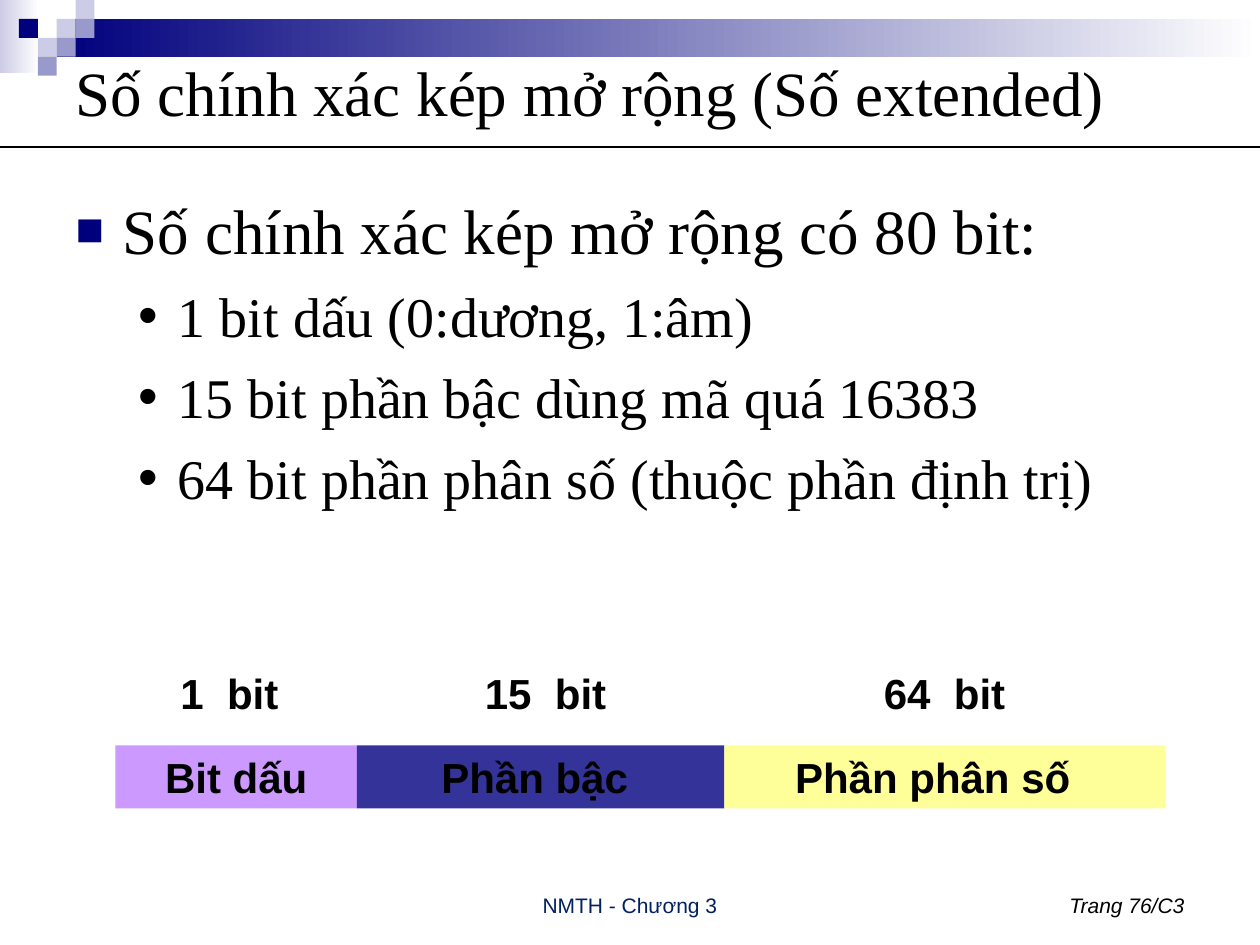
import pptx
import pptx.dml.color
import pptx.enum.dml
import pptx.enum.shapes
import pptx.enum.text
import pptx.oxml.ns
import pptx.util
from lxml import etree

Pt = pptx.util.Pt
RGB = pptx.dml.color.RGBColor.from_string
Align = pptx.enum.text.PP_ALIGN
Anchor = pptx.enum.text.MSO_ANCHOR
qn = pptx.oxml.ns.qn

# Content
TITLE = "Số chính xác kép mở rộng (Số extended)"
BODY = [
    (0, "Số chính xác kép mở rộng có 80 bit:"),
    (1, "1 bit dấu (0:dương, 1:âm)"),
    (1, "15 bit phần bậc dùng mã quá 16383"),
    (1, "64 bit phần phân số (thuộc phần định trị)"),
]
# field name, fill, width, right inset, bit count, left and width of the count
FIELDS = [
    ("Bit dấu", "CC99FF", 138, 7.2, "1  bit", 96, 72),
    ("Phần bậc", "333399", 210, 14, "15  bit", 270, 90),
    ("Phần phân số", "FFFF99", 252, 21, "64  bit", 498, 90),
]
FOOTER = "NMTH - Chương 3"
PAGE = "Trang 76/C3"

# Theme
THEME = {
    "navy": "00007D", "mid": "9999CC", "pale": "CCCCE6", "white": "FFFFFF",
    "title": {"name": "Times New Roman", "size": Pt(36), "color": "000000"},
    "field": {"name": "Arial", "size": Pt(24), "bold": True, "color": "000000"},
    "footer": {"name": "Arial", "size": Pt(12), "color": "002060"},
    "page": {"name": "Arial", "size": Pt(12), "italic": True, "color": "000000"},
}
LEVELS = [
    {"bullet": "■", "color": THEME["navy"], "scale": 75, "left": 27, "hang": 27,
     "before": 0, "font": THEME["title"]},
    {"bullet": "•", "color": "000000", "scale": 100, "left": 58.5, "hang": 22.5,
     "before": 8, "font": {**THEME["title"], "size": Pt(32)}},
]
TILE = 10.8
# column, row, colour on the corner grid
TILES = [(3, 1, "pale"), (4, 0, "pale"), (4, 1, "mid"), (2, 2, "pale"),
         (1, 1, "navy"), (3, 2, "mid"), (2, 3, "mid")]
BAR_LEFT, BAR_TOP, ROW_HEIGHT, COUNT_TOP = 66, 426, 36, 378


def set_font(font, values):
    for name, value in values.items():
        if name == "color":
            font.color.rgb = RGB(value)
        else:
            setattr(font, name, value)


def place(shape, left, top, width, height):
    for name, value in zip(("left", "top", "width", "height"), (left, top, width, height)):
        setattr(shape, name, Pt(value))


def write(shape, text, font, align=Align.LEFT, anchor=Anchor.TOP, right_inset=7.2):
    frame = shape.text_frame
    frame.word_wrap = True
    frame.auto_size = pptx.enum.text.MSO_AUTO_SIZE.NONE
    frame.vertical_anchor = anchor
    frame.margin_right = Pt(right_inset)
    paragraph = frame.paragraphs[0]
    paragraph.text = text
    paragraph.alignment = align
    set_font(paragraph.runs[0].font, font)


def add_rectangle(slide, box, *colors):
    shape = slide.shapes.add_shape(pptx.enum.shapes.MSO_SHAPE.RECTANGLE, *map(Pt, box))
    shape.shadow.inherit = False
    shape.line.fill.background()
    if len(colors) == 1:
        shape.fill.solid()
        shape.fill.fore_color.rgb = RGB(colors[0])
    else:
        shape.fill.gradient()
        shape.fill.gradient_angle = 0
        for stop, color, position in zip(shape.fill.gradient_stops, colors, (0, 1)):
            stop.color.rgb = RGB(color)
            stop.position = position
    return shape


def add_label(slide, box, *args, **options):
    write(slide.shapes.add_textbox(*map(Pt, box)), *args, **options)


def set_bullet(paragraph, level):
    properties = paragraph._p.get_or_add_pPr()
    properties.set("marL", str(Pt(level["left"])))
    properties.set("indent", str(-Pt(level["hang"])))
    color = etree.SubElement(properties, qn("a:buClr"))
    etree.SubElement(color, qn("a:srgbClr"), val=level["color"])
    etree.SubElement(properties, qn("a:buSzPct"), val=str(level["scale"] * 1000))
    etree.SubElement(properties, qn("a:buFont"), typeface="Arial")
    etree.SubElement(properties, qn("a:buChar"), char=level["bullet"])


def add_decoration(slide):
    add_rectangle(slide, (0, 0, 22.3, 41.8), THEME["pale"], THEME["white"])
    add_rectangle(slide, (32.4, TILE, 687.6, 21.6), THEME["navy"], THEME["white"])
    for column, row, color in TILES:
        add_rectangle(slide, (column * TILE, row * TILE, TILE, TILE), THEME[color])


def add_title_and_body(slide):
    title, body = slide.shapes.title, slide.placeholders[1]
    for shape in (title, body):  # in front of the decoration
        slide.shapes._spTree.append(shape._element)
    place(title, 36, 18, 648, 68.4)
    write(title, TITLE, THEME["title"], anchor=Anchor.MIDDLE)

    place(body, 36, 106, 648, 410)
    frame = body.text_frame
    frame.auto_size = pptx.enum.text.MSO_AUTO_SIZE.NONE
    for index, (depth, text) in enumerate(BODY):
        paragraph = frame.add_paragraph() if index else frame.paragraphs[0]
        level = LEVELS[depth]
        paragraph.level = depth
        paragraph.space_before = Pt(level["before"])
        set_bullet(paragraph, level)
        paragraph.text = text
        set_font(paragraph.runs[0].font, level["font"])


def add_rule(slide):
    rule = slide.shapes.add_connector(
        pptx.enum.shapes.MSO_CONNECTOR.STRAIGHT, Pt(0), Pt(84), Pt(720), Pt(84))
    rule.line.color.rgb = RGB("000000")
    rule.line.width = Pt(0.75)
    etree.SubElement(rule._element.spPr, qn("a:effectLst"))


def add_bit_fields(slide):
    left = BAR_LEFT
    for name, color, width, inset, count, count_left, count_width in FIELDS:
        bar = add_rectangle(slide, (left, BAR_TOP, width, ROW_HEIGHT), color)
        write(bar, name, THEME["field"], Align.CENTER, Anchor.MIDDLE, inset)
        add_label(slide, (count_left, COUNT_TOP, count_width, ROW_HEIGHT),
                  count, THEME["field"], right_inset=0)
        left += width


def main():
    presentation = pptx.Presentation()
    presentation.slide_width, presentation.slide_height = Pt(720), Pt(540)
    slide = presentation.slides.add_slide(presentation.slide_layouts[1])
    add_decoration(slide)
    add_title_and_body(slide)
    add_rule(slide)
    add_bit_fields(slide)
    # Footer and page number
    add_label(slide, (246, 492, 228, 36), FOOTER, THEME["footer"], Align.CENTER, Anchor.BOTTOM)
    add_label(slide, (516, 492, 168, 36), PAGE, THEME["page"], Align.RIGHT, Anchor.BOTTOM)
    presentation.save("out.pptx")


if __name__ == "__main__":
    main()
